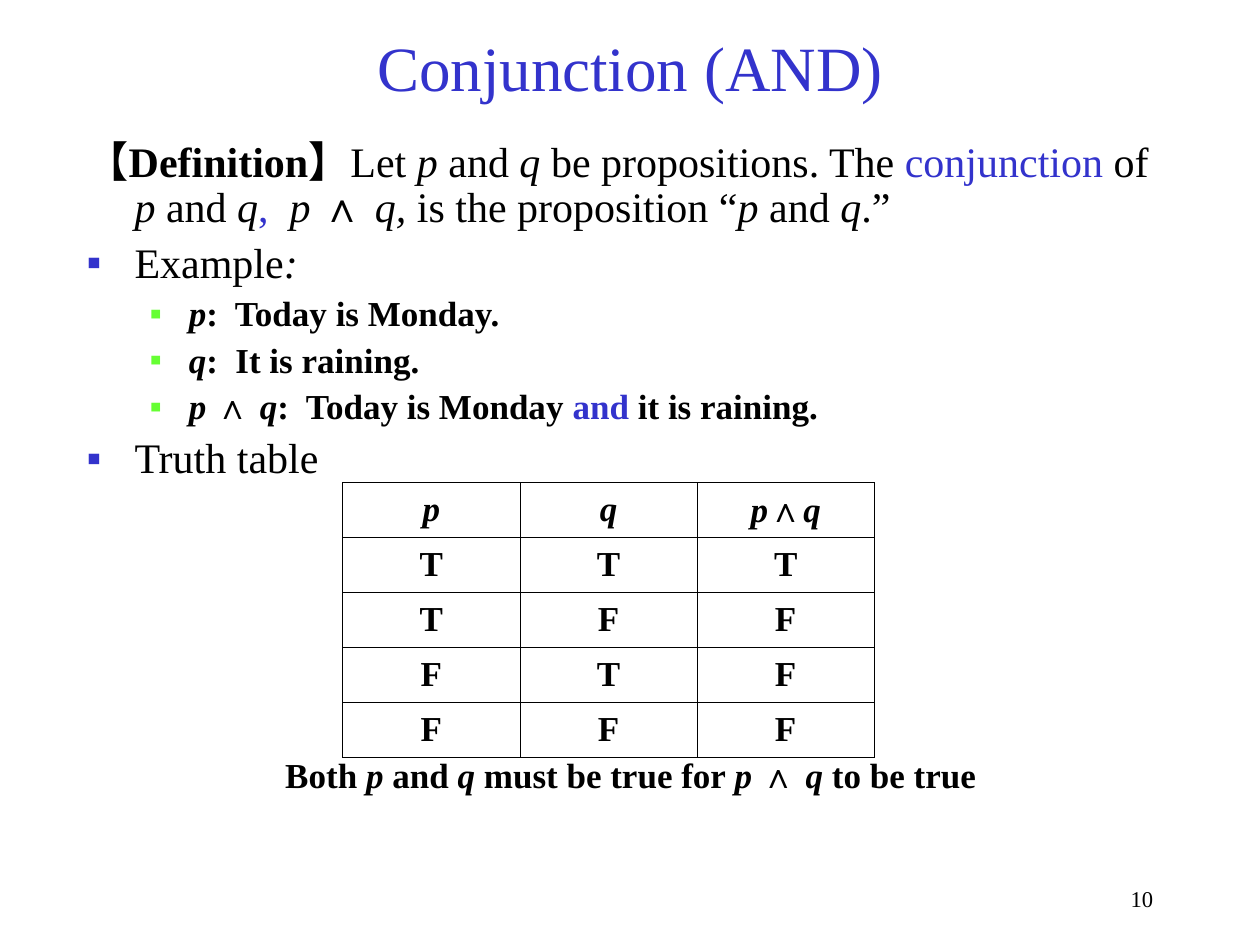
"""Build the slide that defines logical conjunction with its truth table."""
from dataclasses import dataclass
from itertools import product

from lxml.etree import SubElement
from pptx import Presentation
from pptx.dml.color import RGBColor
from pptx.enum.text import MSO_ANCHOR, PP_ALIGN
from pptx.oxml.ns import qn
from pptx.util import Inches, Pt

COLORS = {"ink": "000000", "accent": "3333CC", "lime": "66FF33", "paper": "FFFFFF"}
SERIF = "Times New Roman"
WEDGE_FONT = "Arial"
STYLES = {
    "plain": {},
    "bold": {"bold": True},
    "italic": {"italic": True},
    "bold italic": {"bold": True, "italic": True},
    "wedge": {"name": WEDGE_FONT, "bold": True},
    "accent": {"color": "accent"},
    "bold accent": {"bold": True, "color": "accent"},
}


@dataclass(frozen=True)
class Line:
    """A paragraph: its spans as (text, style) pairs and its format."""

    spans: tuple[tuple[str, str], ...]
    size: float = 24
    align: PP_ALIGN = PP_ALIGN.LEFT
    before: float = 0
    spacing: float = 0.9
    margin: float = 0
    hanging: float = 0
    bullet: str = ""


@dataclass(frozen=True)
class TextBlock:
    """A text box with its place in inches and its lines."""

    left: float
    top: float
    width: float
    height: float
    lines: tuple[Line, ...]
    anchor: MSO_ANCHOR = MSO_ANCHOR.TOP


def topic(*spans: tuple[str, str], bullet: str = "accent", before: float = 6) -> Line:
    """Return a first-level line."""
    return Line(spans, before=before, margin=0.38, hanging=0.38, bullet=bullet)


def example(*spans: tuple[str, str]) -> Line:
    """Return a second-level line."""
    return Line(spans, size=20, before=5, margin=0.81, hanging=0.31, bullet="lime")


TITLE = Line((("Conjunction (AND)", "accent"),), size=36, align=PP_ALIGN.CENTER, spacing=1)
DEFINITION = topic(
    ("【Definition】", "bold"), ("Let ", "plain"), ("p ", "italic"), ("and", "plain"),
    (" q ", "italic"), ("be propositions. The ", "plain"), ("conjunction ", "accent"),
    ("of ", "plain"), ("p ", "italic"), ("and", "plain"), (" q", "italic"),
    (",  ", "accent"), ("p ", "italic"), ("∧ ", "wedge"), ("q, ", "italic"),
    ("is the proposition “", "plain"), ("p", "italic"), (" and ", "plain"),
    ("q", "italic"), (".”", "plain"),
    bullet="", before=0,
)
BODY = (
    DEFINITION,
    topic(("Example", "plain"), (":", "italic")),
    example(("p", "bold italic"), (":  Today is Monday.", "bold")),
    example(("q", "bold italic"), (":  It is raining.", "bold")),
    example(
        ("p ", "bold italic"), ("∧ ", "wedge"), ("q", "bold italic"),
        (":  Today is Monday ", "bold"), ("and", "bold accent"), (" it is raining.", "bold"),
    ),
    topic(("Truth table", "plain")),
)
CONCLUSION = Line(
    (
        ("Both ", "bold"), ("p", "bold italic"), (" and ", "bold"), ("q", "bold italic"),
        (" must be true for ", "bold"), ("p ", "bold italic"), ("∧ ", "wedge"),
        ("q ", "bold italic"), ("to be true", "bold"),
    ),
    size=20, align=PP_ALIGN.CENTER,
)
PAGE_NUMBER = Line((("10", "plain"),), size=12.9, align=PP_ALIGN.RIGHT)
BLOCKS = (
    TextBlock(0.75, 0.13, 8.5, 0.79, (TITLE,), MSO_ANCHOR.MIDDLE),
    TextBlock(0.59, 1.07, 8.83, 2.75, BODY),
    TextBlock(0.59, 5.97, 8.83, 0.4, (CONCLUSION,)),
    TextBlock(7.67, 7, 1.58, 0.33, (PAGE_NUMBER,)),
)
TABLE_HEADER = (
    (("p", "bold italic"),),
    (("q", "bold italic"),),
    (("p", "bold italic"), ("∧", "wedge"), ("q", "bold italic")),
)


def add_bullet(para, color: str) -> None:
    """Give a paragraph a square bullet."""
    properties = para._p.get_or_add_pPr()
    tint = SubElement(properties, qn("a:buClr"))
    SubElement(tint, qn("a:srgbClr"), val=COLORS[color])
    SubElement(properties, qn("a:buFont"), typeface=WEDGE_FONT)
    SubElement(properties, qn("a:buChar"), char="▪")


def write_line(para, line: Line) -> None:
    """Fill a paragraph with the spans and format of a line."""
    formats = {
        "alignment": line.align,
        "line_spacing": line.spacing,
        "space_before": Pt(line.before),
    }
    for name, value in formats.items():
        setattr(para, name, value)
    if line.margin:
        properties = para._p.get_or_add_pPr()
        properties.set("marL", str(Inches(line.margin)))
        properties.set("indent", str(-Inches(line.hanging)))
    if line.bullet:
        add_bullet(para, line.bullet)
    for text, style in line.spans:
        span = para.add_run()
        span.text = text
        values = {"name": SERIF, "size": Pt(line.size), "bold": False, "italic": False}
        values |= STYLES[style]
        color = values.pop("color", "ink")
        for name, value in values.items():
            setattr(span.font, name, value)
        span.font.color.rgb = RGBColor.from_string(COLORS[color])


def add_text(page, block: TextBlock) -> None:
    """Draw a text box."""
    place = map(Inches, (block.left, block.top, block.width, block.height))
    frame = page.shapes.add_textbox(*place).text_frame
    for name, value in {"word_wrap": True, "vertical_anchor": block.anchor}.items():
        setattr(frame, name, value)
    for index, line in enumerate(block.lines):
        write_line(frame.add_paragraph() if index else frame.paragraphs[0], line)


def add_borders(cell) -> None:
    """Draw thin lines on the four sides of a cell."""
    properties = cell._tc.get_or_add_tcPr()
    for side in ("lnL", "lnR", "lnT", "lnB"):
        edge = SubElement(properties, qn(f"a:{side}"), w=str(Pt(0.45)))
        fill = SubElement(edge, qn("a:solidFill"))
        SubElement(fill, qn("a:srgbClr"), val=COLORS["ink"])


def add_truth_table(page) -> None:
    """Draw the truth table with its values worked out by rule."""
    rows = [TABLE_HEADER]
    for p, q in product((True, False), repeat=2):
        rows.append(tuple(((("T" if value else "F"), "bold"),) for value in (p, q, p and q)))
    place = map(Inches, (2.72, 3.83, 4.22, 2.18))
    table = page.shapes.add_table(len(rows), len(TABLE_HEADER), *place).table
    for name in ("first_row", "horz_banding"):
        setattr(table, name, False)
    for row, contents in zip(table.rows, rows):
        for cell, spans in zip(row.cells, contents):
            add_borders(cell)
            cell.fill.solid()
            cell.fill.fore_color.rgb = RGBColor.from_string(COLORS["paper"])
            cell.vertical_anchor = MSO_ANCHOR.MIDDLE
            line = Line(spans, size=20, align=PP_ALIGN.CENTER, spacing=1)
            write_line(cell.text_frame.paragraphs[0], line)


def main() -> None:
    """Build and save the deck."""
    deck = Presentation()
    for name, value in {"slide_width": Inches(10), "slide_height": Inches(7.5)}.items():
        setattr(deck, name, value)
    page = deck.slides.add_slide(deck.slide_layouts[6])
    for block in BLOCKS:
        add_text(page, block)
    add_truth_table(page)
    deck.save("out.pptx")


if __name__ == "__main__":
    main()
